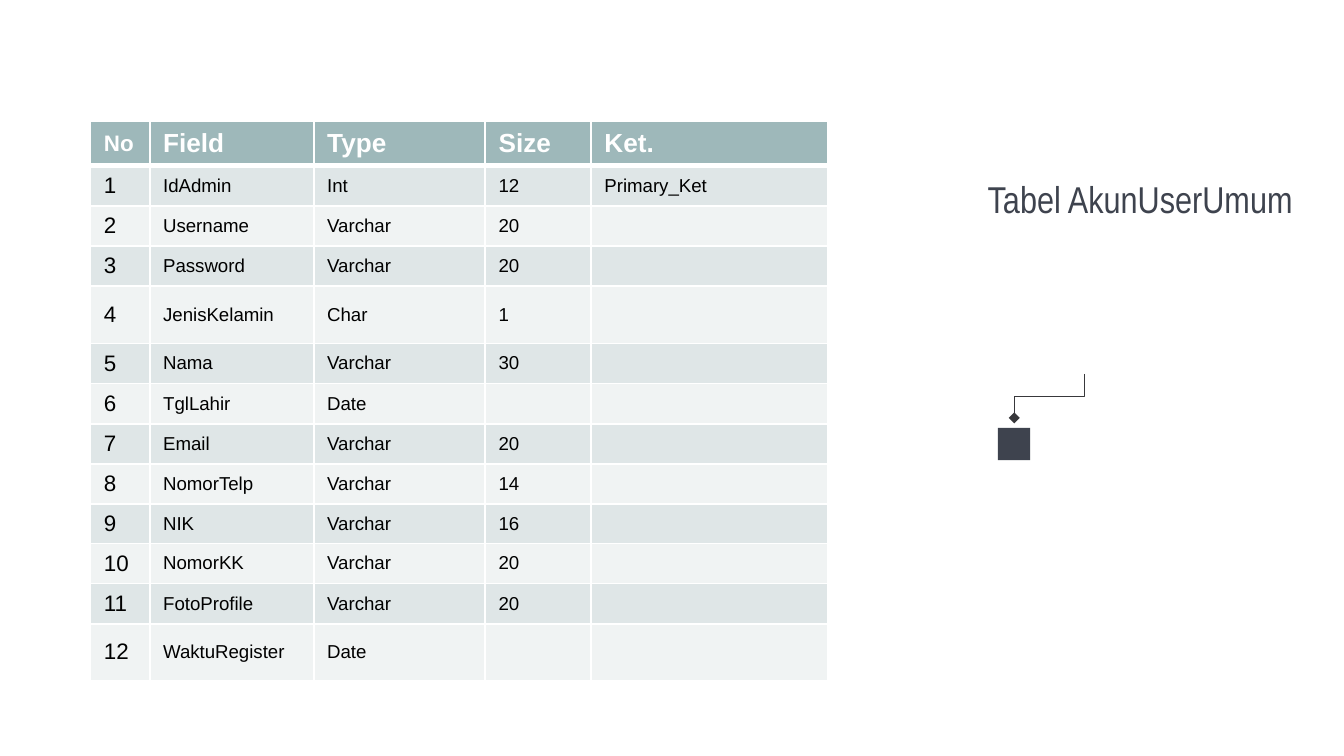
from typing import NamedTuple

from lxml import etree
from pptx import Presentation
from pptx.dml.color import RGBColor
from pptx.enum.shapes import MSO_SHAPE
from pptx.enum.text import MSO_ANCHOR, MSO_AUTO_SIZE, PP_ALIGN
from pptx.oxml.ns import qn
from pptx.util import Cm, Pt

RECTANGLE = MSO_SHAPE.RECTANGLE
MIDDLE = MSO_ANCHOR.MIDDLE
LEFT, CENTER = PP_ALIGN.LEFT, PP_ALIGN.CENTER
NO_AUTOFIT = MSO_AUTO_SIZE.NONE
TITLE_ONLY = 5

WHITE = RGBColor(0xFF, 0xFF, 0xFF)
BLACK = RGBColor(0, 0, 0)
SLATE = RGBColor(0x3E, 0x43, 0x4E)
CHARCOAL = RGBColor(0x38, 0x38, 0x3B)
HEADER_FILL = RGBColor(0x9E, 0xB8, 0xBA)
BAND_FILLS = (RGBColor(0xDF, 0xE6, 0xE7), RGBColor(0xF0, 0xF3, 0xF3))


class Field(NamedTuple):
    name: str
    type: str
    size: str = ""
    note: str = ""


HEADERS = ("No", "Field", "Type", "Size", "Ket.")
FIELDS = (
    Field("IdAdmin", "Int", "12", "Primary_Ket"),
    Field("Username", "Varchar", "20"),
    Field("Password", "Varchar", "20"),
    Field("JenisKelamin", "Char", "1"),
    Field("Nama", "Varchar", "30"),
    Field("TglLahir", "Date"),
    Field("Email", "Varchar", "20"),
    Field("NomorTelp", "Varchar", "14"),
    Field("NIK", "Varchar", "16"),
    Field("NomorKK", "Varchar", "20"),
    Field("FotoProfile", "Varchar", "20"),
    Field("WaktuRegister", "Date"),
)
COLUMN_WIDTHS = (1.12, 3.1, 3.24, 2, 4.47)
HEADER_HEIGHT, ROW_HEIGHT = 0.83, 0.76
SPECIAL_HEIGHTS = {4: 1.08, 9: 0.74, 12: 1.07}


def write(frame, text: str, *, size: float, color: RGBColor, font: str = "Arial",
          bold: bool = False, align=LEFT) -> None:
    """Put one formatted paragraph in a text frame."""
    para = frame.paragraphs[0]
    para.alignment = align
    if not text:  # an empty cell still needs a size, or its row grows
        etree.SubElement(para._p, qn("a:endParaRPr"), sz=str(int(size * 100)))
        return
    span = para.add_run()
    span.text = text
    span.font.name = font
    span.font.size = Pt(size)
    span.font.bold = bold
    span.font.color.rgb = color


def add_borders(cell, bottom: float) -> None:
    """Draw white cell borders, 1 pt except for the given bottom width."""
    properties = cell._tc.get_or_add_tcPr()
    for side, width in (("L", 1), ("R", 1), ("T", 1), ("B", bottom)):
        line = etree.SubElement(properties, qn(f"a:ln{side}"), w=str(Pt(width)))
        fill = etree.SubElement(line, qn("a:solidFill"))
        etree.SubElement(fill, qn("a:srgbClr"), val=str(WHITE))


def add_field_table(slide) -> None:
    rows = [HEADERS] + [(str(number), *field) for number, field in enumerate(FIELDS, 1)]
    heights = [HEADER_HEIGHT] + [SPECIAL_HEIGHTS.get(number, ROW_HEIGHT)
                                 for number in range(1, len(rows))]
    table = slide.shapes.add_table(len(rows), len(HEADERS), Cm(1.71), Cm(2.3),
                                   Cm(sum(COLUMN_WIDTHS)), Cm(sum(heights))).table
    for column, width in zip(table.columns, COLUMN_WIDTHS):
        column.width = Cm(width)
    for r, (values, height) in enumerate(zip(rows, heights)):
        table.rows[r].height = Cm(height)
        is_header = r == 0
        for c, value in enumerate(values):
            cell = table.cell(r, c)
            cell.vertical_anchor = MIDDLE
            add_borders(cell, bottom=3 if is_header else 1)
            cell.fill.solid()
            cell.fill.fore_color.rgb = HEADER_FILL if is_header else BAND_FILLS[(r - 1) % 2]
            size = 12 if c == 0 else 14 if is_header else 10
            write(cell.text_frame, value, size=size, bold=is_header,
                  color=WHITE if is_header else BLACK)


def add_title(slide, text: str) -> None:
    title = slide.shapes.title
    title.left, title.top, title.width, title.height = Cm(18.36), Cm(3.28), Cm(6.38), Cm(0.94)
    frame = title.text_frame
    frame.auto_size = NO_AUTOFIT
    frame.word_wrap = False
    frame.vertical_anchor = MIDDLE
    write(frame, text, size=20, color=SLATE, font="Arial Narrow", align=CENTER)


def add_marker(slide) -> None:
    """Draw the square and the stepped line that points to it."""
    square = slide.shapes.add_shape(RECTANGLE, Cm(18.86), Cm(8.09), Cm(0.61), Cm(0.61))
    square.shadow.inherit = False
    square.fill.solid()
    square.fill.fore_color.rgb = SLATE
    square.line.fill.background()

    start, *bends = [(Cm(x), Cm(y)) for x, y in
                     ((20.5, 7.07), (20.5, 7.49), (19.17, 7.49), (19.17, 7.9))]
    builder = slide.shapes.build_freeform(*start)
    builder.add_line_segments(bends, close=False)
    step = builder.convert_to_shape()
    step.shadow.inherit = False
    step.fill.background()
    step.line.color.rgb = CHARCOAL
    step.line.width = Pt(0.75)
    etree.SubElement(step.line._get_or_add_ln(), qn("a:tailEnd"), type="diamond")


def main() -> None:
    deck = Presentation()
    deck.slide_width, deck.slide_height = Cm(25.4), Cm(14.29)
    page = deck.slides.add_slide(deck.slide_layouts[TITLE_ONLY])
    add_marker(page)
    add_title(page, "Tabel AkunUserUmum")
    add_field_table(page)
    deck.save("out.pptx")


if __name__ == "__main__":
    main()
